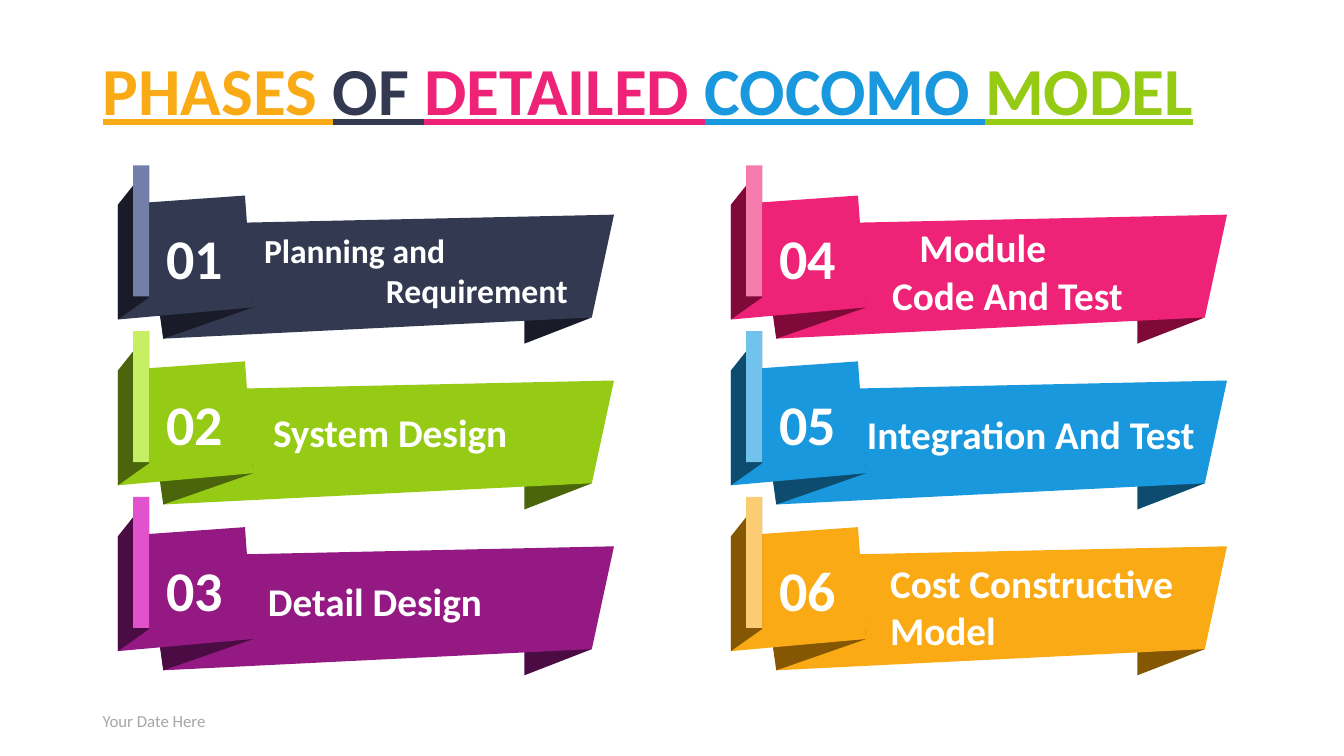
import pptx
import pptx.util
import pptx.dml.color
import pptx.enum.shapes
import pptx.enum.text

Inches = pptx.util.Inches
RGBColor = pptx.dml.color.RGBColor
Anchor = pptx.enum.text.MSO_ANCHOR
Align = pptx.enum.text.PP_ALIGN
AutoSize = pptx.enum.text.MSO_AUTO_SIZE

WHITE = RGBColor(0xFF, 0xFF, 0xFF)
GREY = RGBColor(0xA6, 0xA6, 0xA6)
NAVY = RGBColor(0x32, 0x39, 0x51)
NAVY_DARK = RGBColor(0x19, 0x1C, 0x28)
NAVY_LIGHT = RGBColor(0x72, 0x7F, 0xA8)
GREEN = RGBColor(0x95, 0xCA, 0x15)
GREEN_DARK = RGBColor(0x4A, 0x65, 0x0B)
GREEN_LIGHT = RGBColor(0xC6, 0xEF, 0x63)
PURPLE = RGBColor(0x95, 0x19, 0x83)
PURPLE_DARK = RGBColor(0x4A, 0x0C, 0x42)
PURPLE_LIGHT = RGBColor(0xE2, 0x52, 0xCD)
PINK = RGBColor(0xEE, 0x23, 0x77)
PINK_DARK = RGBColor(0x7F, 0x0A, 0x3A)
PINK_LIGHT = RGBColor(0xF5, 0x7B, 0xAD)
BLUE = RGBColor(0x1A, 0x98, 0xDD)
BLUE_DARK = RGBColor(0x0D, 0x4C, 0x6E)
BLUE_LIGHT = RGBColor(0x72, 0xC2, 0xEE)
ORANGE = RGBColor(0xFA, 0xAA, 0x15)
ORANGE_DARK = RGBColor(0x85, 0x57, 0x03)
ORANGE_LIGHT = RGBColor(0xFC, 0xCC, 0x73)

deck = pptx.Presentation()
deck.slide_width = Inches(13.33)
deck.slide_height = Inches(7.5)
page = deck.slides.add_slide(deck.slide_layouts[5])


def add_span(para, text, size, color, bold=True):
    span = para.add_run()
    span.text = text
    span.font.name = "Calibri"
    span.font.size = pptx.util.Pt(size)
    span.font.bold = bold
    span.font.color.rgb = color
    return span


def paint(shape, color):
    shape.shadow.inherit = False
    shape.fill.solid()
    shape.fill.fore_color.rgb = color
    shape.line.fill.background()


title = page.shapes.title
title.left, title.top = Inches(0.92), Inches(0.31)
title.width, title.height = Inches(11.5), Inches(1.24)
title.text_frame.vertical_anchor = Anchor.MIDDLE
title.text_frame.auto_size = AutoSize.NONE
para = title.text_frame.paragraphs[0]
para.alignment = Align.LEFT
para.line_spacing = 0.9
for word, color in [("PHASES ", ORANGE), ("OF ", NAVY), ("DETAILED ", PINK),
                    ("COCOMO ", BLUE), ("MODEL", GREEN)]:
    add_span(para, word, 48, color).font.underline = True

date_box = page.shapes.add_textbox(Inches(0.92), Inches(6.95), Inches(3), Inches(0.4))
date_box.text_frame.word_wrap = True
date_box.text_frame.vertical_anchor = Anchor.MIDDLE
add_span(date_box.text_frame.paragraphs[0], "Your Date Here", 12, GREY, bold=False)

TAIL = [(4.7, 1.51), (4.03, 1.77), (4.03, 1.46)]
RIBBON = [(4.7, 1.51), (0.45, 1.72), (0.31, 0.59), (4.92, 0.49)]
UNDERSIDE = [(0.45, 1.72), (1.34, 1.41), (1.26, 0.57), (0.36, 1.1)]
NUMBER_FLAP = [(1.34, 1.41), (1.26, 0.3), (0, 0.39), (0, 1.53)]
SIDE = [(0, 0.39), (0.31, 0), (0.31, 1.31), (0, 1.53)]

ROWS = 3
COLUMN_STEP = 6.08
ROW_STEP = 3.29 / 2

phases = [
    (NAVY, NAVY_DARK, NAVY_LIGHT, (2.52, 2.08, 4.15, 1.41), 24,
     [("Planning and", 0), ("Requirement", 1.21)]),
    (GREEN, GREEN_DARK, GREEN_LIGHT, (2.61, 3.85, 3.26, 1.08), 28,
     [("System Design", 0)]),
    (PURPLE, PURPLE_DARK, PURPLE_LIGHT, (2.56, 5.53, 3.26, 0.67), 28,
     [("Detail Design", 0)]),
    (PINK, PINK_DARK, PINK_LIGHT, (8.58, 2.02, 3.45, 1.14), 28,
     [("Module", 0.44), ("Code And Test", 0.17)]),
    (BLUE, BLUE_DARK, BLUE_LIGHT, (8.5, 3.87, 3.61, 0.67), 28,
     [("Integration And Test", 0)]),
    (ORANGE, ORANGE_DARK, ORANGE_LIGHT, (8.73, 5.35, 3.26, 1.14), 28,
     [("Cost Constructive Model", 0)]),
]

for index, (main, dark, light, place, size, lines) in enumerate(phases):
    column, row = divmod(index, ROWS)
    left = 1.17 + column * COLUMN_STEP
    top = 1.64 + row * ROW_STEP

    for outline, color in [(TAIL, dark), (RIBBON, main), (UNDERSIDE, dark),
                           (NUMBER_FLAP, main), (SIDE, dark)]:
        points = [(Inches(left + x), Inches(top + y)) for x, y in outline]
        builder = page.shapes.build_freeform(*points[0])
        builder.add_line_segments(points[1:], close=True)
        panel = builder.convert_to_shape()
        paint(panel, color)
        if outline is NUMBER_FLAP:
            frame = panel.text_frame
            frame.margin_right = Inches(0.3)
            frame.vertical_anchor = Anchor.MIDDLE
            para = frame.paragraphs[0]
            para.alignment = Align.RIGHT
            add_span(para, f"{index + 1:02d}", 40, WHITE)

    strip = page.shapes.add_shape(pptx.enum.shapes.MSO_SHAPE.RECTANGLE, Inches(left + 0.15),
                                  Inches(top), Inches(0.16), Inches(1.3))
    paint(strip, light)

for main, dark, light, place, size, lines in phases:
    box = page.shapes.add_textbox(*[Inches(length) for length in place])
    frame = box.text_frame
    frame.word_wrap = True
    frame.auto_size = AutoSize.SHAPE_TO_FIT_TEXT
    frame.margin_top, frame.margin_bottom = Inches(0.2), 0
    for number, (text, indent) in enumerate(lines):
        para = frame.add_paragraph() if number else frame.paragraphs[0]
        if indent:
            para._p.get_or_add_pPr().set("marL", str(Inches(indent)))
        add_span(para, text, size, WHITE)

deck.save("out.pptx")
